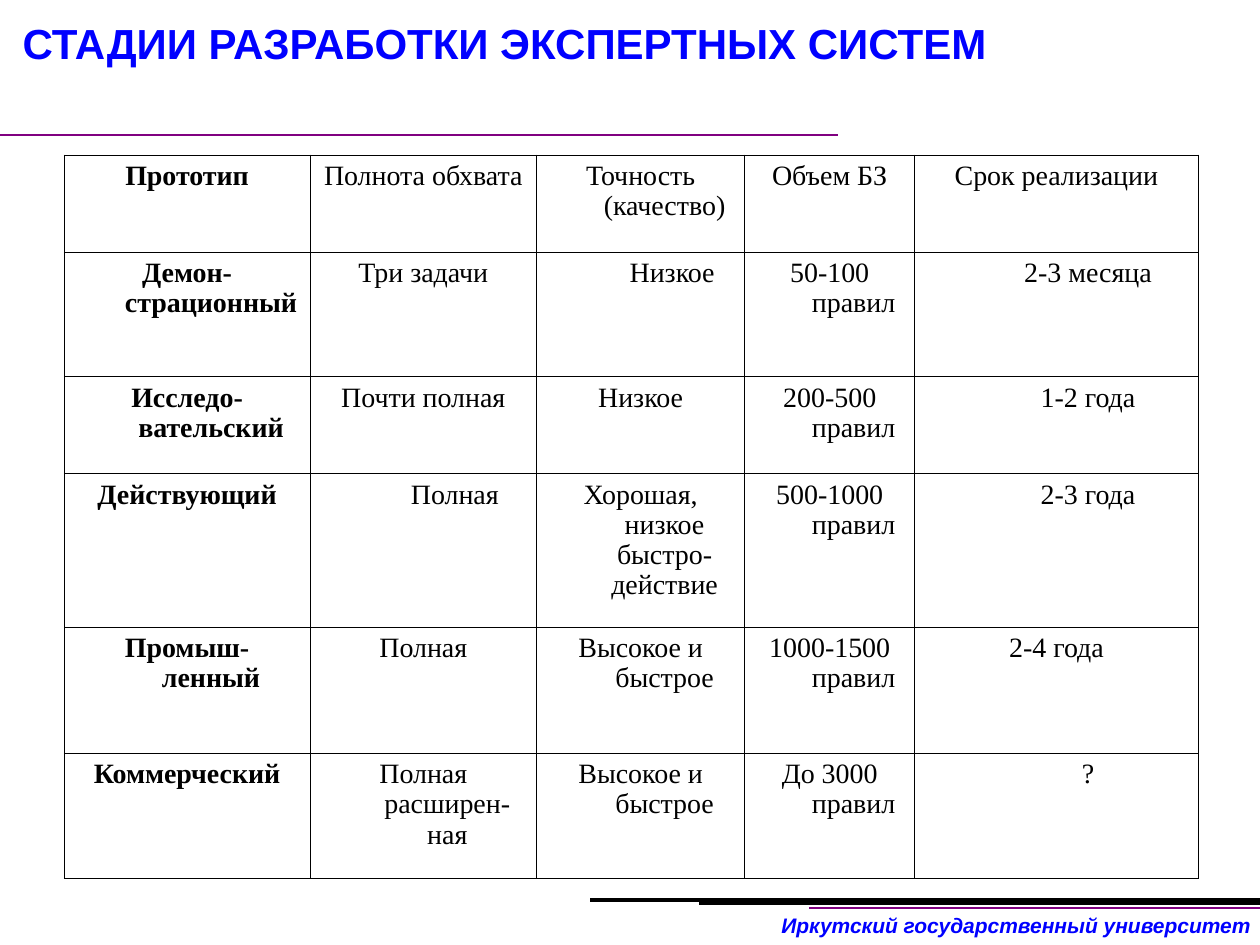
"""Build the slide on the stages of expert system development."""
from dataclasses import dataclass

from lxml.etree import SubElement
from pptx import Presentation
from pptx.dml.color import RGBColor
from pptx.enum.shapes import MSO_CONNECTOR as Connector
from pptx.enum.text import MSO_ANCHOR as Anchor, PP_ALIGN as Align
from pptx.oxml.ns import qn
from pptx.util import Emu, Inches, Pt

BLUE = RGBColor(0x00, 0x00, 0xFF)
PURPLE = RGBColor(0x80, 0x00, 0x80)
BLACK = RGBColor(0x00, 0x00, 0x00)

WIDTH, HEIGHT = Inches(10), Inches(7.5)
COLUMNS = (1.95, 1.8, 1.65, 1.35, 2.25)
ROWS = (0.77, 0.99, 0.77, 1.22, 1, 0.99)
HANGING, SHIFTED = -0.38, 0.12
LINE_SPACING = 0.97


@dataclass(frozen=True)
class Rule:
    """A horizontal rule, placed in shares of the slide."""
    start: float
    end: float
    level: float
    color: RGBColor
    weight: float


@dataclass(frozen=True)
class Entry:
    """A table entry with its first-line indent in inches."""
    wording: str
    indent: float = HANGING


RULES = (
    Rule(1.004, 0.642, 0.961, PURPLE, 1),
    Rule(1.004, 0.555, 0.956, BLACK, 1.5),
    Rule(1.004, 0.468, 0.952, BLACK, 2.25),
    Rule(-0.004, 0.665, 0.143, PURPLE, 1),
)

STAGES = (
    (Entry("Прототип"), Entry("Полнота обхвата"), Entry("Точность (качество)"),
     Entry("Объем БЗ"), Entry("Срок реализации")),
    (Entry("Демон-страционный"), Entry("Три задачи"), Entry("Низкое", SHIFTED),
     Entry("50-100 правил"), Entry("2-3 месяца", SHIFTED)),
    (Entry("Исследо-вательский"), Entry("Почти полная"), Entry("Низкое"),
     Entry("200-500 правил"), Entry("1-2 года", SHIFTED)),
    (Entry("Действующий"), Entry("Полная", SHIFTED), Entry("Хорошая, низкое быстро-действие"),
     Entry("500-1000 правил"), Entry("2-3 года", SHIFTED)),
    (Entry("Промыш-ленный"), Entry("Полная"), Entry("Высокое и быстрое"),
     Entry("1000-1500 правил"), Entry("2-4 года")),
    (Entry("Коммерческий"), Entry("Полная расширен-ная"), Entry("Высокое и быстрое"),
     Entry("До 3000 правил"), Entry("?", SHIFTED)),
)


def across(share: float) -> Emu:
    """Return a share of the slide width."""
    return Emu(round(WIDTH * share))


def down(share: float) -> Emu:
    """Return a share of the slide height."""
    return Emu(round(HEIGHT * share))


def format_text(paragraph, size: float, face: str, color: RGBColor, align,
                bold: bool = True, italic: bool = False) -> None:
    """Style the runs of a paragraph and align it."""
    paragraph.alignment = align
    for run in paragraph.runs:
        font = run.font
        font.size, font.name, font.bold, font.italic = Pt(size), face, bold, italic
        font.color.rgb = color


def draw_rule(slide, rule: Rule) -> None:
    """Draw one horizontal rule without a shadow."""
    level = down(rule.level)
    line = slide.shapes.add_connector(
        Connector.STRAIGHT, across(rule.start), level, across(rule.end), level)
    line.line.color.rgb = rule.color
    line.line.width = Pt(rule.weight)
    SubElement(line._element.spPr, qn("a:effectLst"))


def draw_borders(cell) -> None:
    """Give a cell a thin black border on all sides."""
    properties = cell._tc.get_or_add_tcPr()
    for position, side in enumerate(("lnL", "lnR", "lnT", "lnB")):
        border = SubElement(properties, qn(f"a:{side}"), w=str(Pt(0.45)))
        fill = SubElement(border, qn("a:solidFill"))
        SubElement(fill, qn("a:srgbClr"), val=str(BLACK))
        properties.insert(position, border)


def fill_cell(cell, entry: Entry, bold: bool) -> None:
    """Write an entry into a cell with its indent and border."""
    cell.fill.background()
    draw_borders(cell)
    cell.text_frame.text = entry.wording
    paragraph = cell.text_frame.paragraphs[0]
    paragraph.line_spacing = LINE_SPACING
    indents = paragraph._p.get_or_add_pPr()
    indents.set("marL", str(Inches(0.38)))
    indents.set("indent", str(Inches(entry.indent)))
    format_text(paragraph, 16, "Times New Roman", BLACK, Align.CENTER, bold)


def draw_stages(slide) -> None:
    """Draw the table of development stages."""
    table = slide.shapes.add_table(
        len(ROWS), len(COLUMNS), across(0.051), down(0.164),
        Inches(sum(COLUMNS)), Inches(sum(ROWS))).table
    table.first_row = table.horz_banding = False
    for column, width in zip(table.columns, COLUMNS):
        column.width = Inches(width)
    for row, height, entries in zip(table.rows, ROWS, STAGES):
        row.height = Inches(height)
        for index, entry in enumerate(entries):
            fill_cell(row.cells[index], entry, bold=index == 0)


def draw_title(slide) -> None:
    """Place and format the slide title."""
    title = slide.shapes.title
    title.left, title.top = across(0.008), down(0.007)
    title.width, title.height = across(0.996), down(0.081)
    frame = title.text_frame
    frame.text = "СТАДИИ РАЗРАБОТКИ ЭКСПЕРТНЫХ СИСТЕМ"
    frame.vertical_anchor = Anchor.MIDDLE
    frame.paragraphs[0].line_spacing = LINE_SPACING
    format_text(frame.paragraphs[0], 24, "Arial", BLUE, Align.LEFT)


def draw_university(slide) -> None:
    """Write the university name at the bottom right."""
    frame = slide.shapes.add_textbox(
        across(0.608), down(0.959), across(0.395), down(0.04)).text_frame
    frame.word_wrap = False
    frame.text = "Иркутский государственный университет"
    format_text(frame.paragraphs[0], 12, "Arial", BLUE, Align.RIGHT, italic=True)


def main() -> None:
    """Build and save the presentation."""
    deck = Presentation()
    deck.slide_width, deck.slide_height = WIDTH, HEIGHT
    slide = deck.slides.add_slide(deck.slide_layouts[5])
    draw_university(slide)
    for rule in RULES:
        draw_rule(slide, rule)
    draw_title(slide)
    draw_stages(slide)
    deck.save("out.pptx")


if __name__ == "__main__":
    main()
